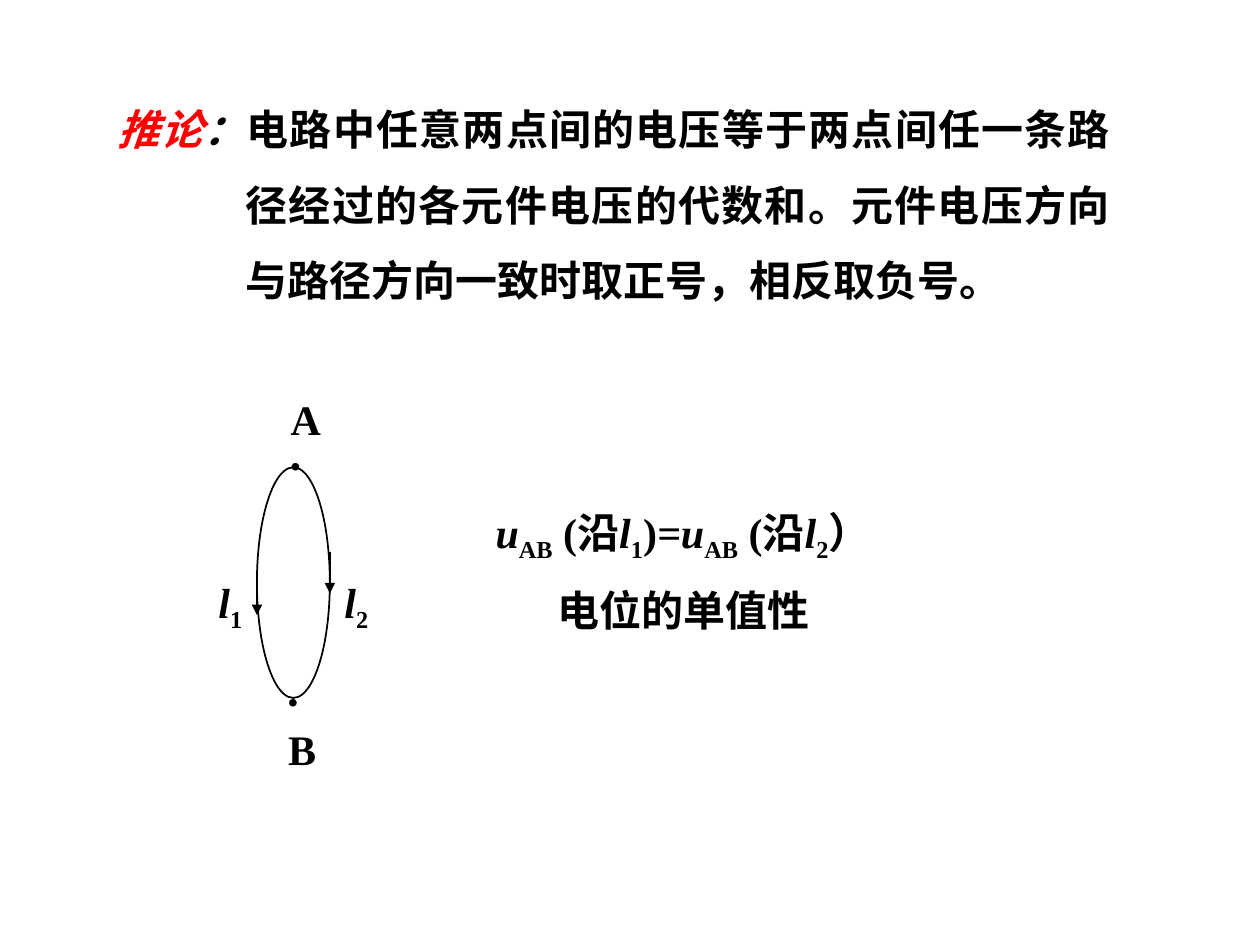
from lxml import etree
from pptx import Presentation
from pptx.dml.color import RGBColor
from pptx.enum.shapes import MSO_CONNECTOR, MSO_SHAPE
from pptx.enum.text import MSO_ANCHOR, PP_ALIGN
from pptx.oxml.ns import qn
from pptx.util import Cm, Pt

CENTER, JUSTIFY = PP_ALIGN.CENTER, PP_ALIGN.JUSTIFY
MIDDLE = MSO_ANCHOR.MIDDLE
OVAL, STRAIGHT = MSO_SHAPE.OVAL, MSO_CONNECTOR.STRAIGHT
FONT, BLACK, WHITE, RED = "Times New Roman", "000000", "FFFFFF", "FF0000"

# Content: each paragraph is a list of (text, style), where the style may hold
# "i" for italic, "s" for subscript and "r" for red
COROLLARY = [[
    ("推论", "ir"), ("：", "i"),
    ("电路中任意两点间的电压等于两点间任一条路径经过的各元件电压的代数和。"
     "元件电压方向与路径方向一致时取正号，相反取负号。", ""),
]]
EQUATION = [
    [("u", "i"), ("AB", "s"), (" (沿", ""), ("l", "i"), ("1", "s"), (")", ""),
     ("=u", "i"), ("AB", "s"), (" (沿", ""), ("l", "i"), ("2", "s"), ("）", "")],
    [("电位的单值性", "")],
]

# Loop geometry in cm: left, top, width, height
LOOP = (5.18, 9.42, 1.47, 4.65)
LOOP_RIGHT = LOOP[0] + LOOP[2]

# Loop labels: paragraphs, box in cm, size in points
LOOP_LABELS = [
    ([[("A", "")]], (5.61, 7.8, 0.64, 1.27), 24),
    ([[("B", "")]], (5.56, 14.45, 0.69, 1.27), 24),
    ([[("•", "")]], (5.56, 13.67, 0.64, 0.94), 16),
    ([[("•", "")]], (5.61, 8.92, 0.64, 0.94), 16),
    ([[("l", "i"), ("1", "s")]], (4.11, 11.56, 1.07, 1.27), 24),
    ([[("l", "i"), ("2", "s")]], (6.45, 11.56, 1.47, 1.27), 24),
]

# Path arrows in cm: x, start y, end y
PATH_ARROWS = [(LOOP[0], 11.96, 12.4), (LOOP_RIGHT, 11.13, 11.96)]


def color(hex_string):
    return RGBColor.from_string(hex_string)


def add_text(slide, paragraphs, box, size=24, align=CENTER, hanging=0,
             line_spacing=None):
    frame = slide.shapes.add_textbox(*map(Cm, box)).text_frame
    frame.word_wrap = True
    frame.vertical_anchor = MIDDLE
    for index, pieces in enumerate(paragraphs):
        paragraph = frame.add_paragraph() if index else frame.paragraphs[0]
        paragraph.alignment = align
        if index:
            paragraph.space_before = Pt(size / 2)
        if line_spacing:
            paragraph.line_spacing = line_spacing
        if hanging:
            properties = paragraph._p.get_or_add_pPr()
            properties.set("marL", str(Cm(hanging)))
            properties.set("indent", str(-Cm(hanging)))
        for text, style in pieces:
            run = paragraph.add_run()
            run.text = text
            run.font.name = FONT
            run.font.size = Pt(size)
            run.font.bold = True
            run.font.italic = "i" in style
            run.font.color.rgb = color(RED if "r" in style else BLACK)
            if "s" in style:
                run._r.get_or_add_rPr().set("baseline", "-25000")


def add_arrow(slide, x, start, end):
    arrow = slide.shapes.add_connector(STRAIGHT, Cm(x), Cm(start), Cm(x), Cm(end))
    arrow.line.color.rgb = color(BLACK)
    arrow.line.width = Pt(1)
    etree.SubElement(arrow.line._get_or_add_ln(), qn("a:tailEnd"), type="triangle")
    etree.SubElement(arrow._element.spPr, qn("a:effectLst"))


def main():
    deck = Presentation()
    deck.slide_width, deck.slide_height = Cm(25.4), Cm(19.05)
    slide = deck.slides.add_slide(deck.slide_layouts[6])

    # Loop between A and B with its two paths
    loop = slide.shapes.add_shape(OVAL, *map(Cm, LOOP))
    loop.shadow.inherit = False
    loop.fill.solid()
    loop.fill.fore_color.rgb = color(WHITE)
    loop.line.color.rgb = color(BLACK)
    loop.line.width = Pt(1)
    for x, start, end in PATH_ARROWS:
        add_arrow(slide, x, start, end)
    for paragraphs, box, size in LOOP_LABELS:
        add_text(slide, paragraphs, box, size=size)

    # Equation and corollary
    add_text(slide, EQUATION, (8.69, 10.11, 10.16, 2.79))
    add_text(slide, COROLLARY, (2.11, 1.45, 20.52, 4.83), align=JUSTIFY,
             hanging=2.59, line_spacing=1.5)

    deck.save("out.pptx")


if __name__ == "__main__":
    main()
